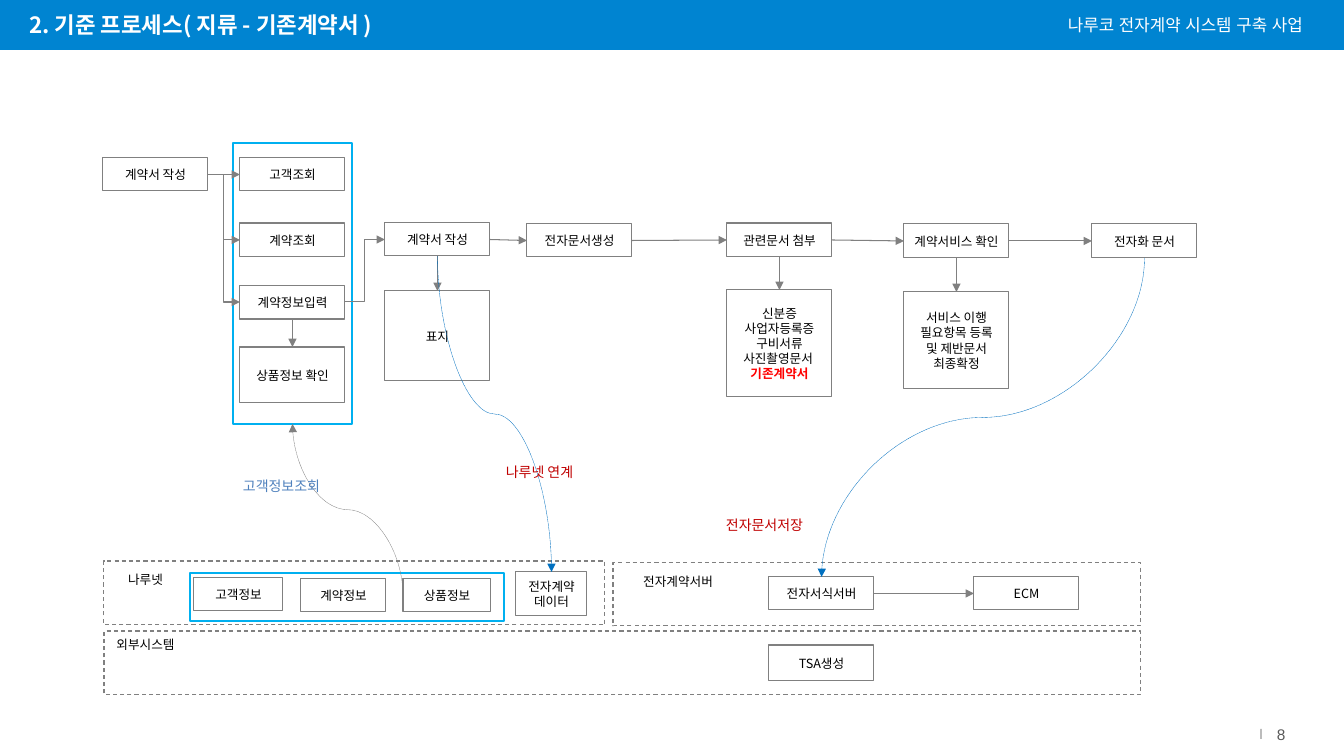
import pptx
import pptx.util
import pptx.dml.color
import pptx.enum.dml
import pptx.enum.shapes
import pptx.enum.text
import pptx.oxml.ns
from lxml import etree

EMU_PER_PX = 12192000 / 1344
KOREAN = "Noto Sans CJK KR"
GRAY, BLACK, WHITE = "808080", "000000", "FFFFFF"
CYAN, BLUE, RED = "00B0F0", "0070C0", "C00000"
ALIGN = pptx.enum.text.PP_ALIGN
ANCHOR = pptx.enum.text.MSO_ANCHOR
DASH = pptx.enum.dml.MSO_LINE
CONNECTOR = pptx.enum.shapes.MSO_CONNECTOR
TOP, LEFT, BOTTOM, RIGHT = range(4)

STEPS = {
    "draft": (103, 158, 105, 33, "계약서 작성"),
    "customer": (240, 158, 105, 33, "고객조회"),
    "contract": (240, 223, 105, 34, "계약조회"),
    "entry": (240, 285, 105, 34, "계약정보입력"),
    "product": (240, 347, 105, 56, "상품정보 확인"),
    "write": (385, 223, 105, 33, "계약서 작성"),
    "cover": (385, 291, 105, 90, "표지"),
    "generate": (527, 224, 105, 33, "전자문서생성"),
    "attach": (727, 223, 105, 34, "관련문서 첨부"),
    "papers": (727, 290, 105, 107, "신분증\n사업자등록증\n구비서류\n사진촬영문서 "),
    "confirm": (904, 224, 105, 34, "계약서비스 확인"),
    "service": (904, 292, 105, 97, "서비스 이행\n필요항목 등록 및 제반문서 최종확정"),
    "document": (1092, 224, 105, 34, "전자화 문서"),
    "customer_data": (194, 578, 89, 33, "고객정보"),
    "contract_data": (301, 579, 85, 33, "계약정보"),
    "product_data": (403, 579, 88, 33, "상품정보"),
    "contract_store": (516, 572, 71, 44, "전자계약\n데이터"),
    "form_server": (769, 577, 105, 33, "전자서식서버"),
    "ecm": (974, 577, 105, 33, "ECM"),
    "tsa": (769, 645, 105, 36, "TSA생성"),
}
NARROW_INSET = {"attach", "confirm", "document", "tsa"}

FRAMES = {
    "lookup": (233, 143, 119, 281, CYAN, 1.5, None),
    "internal": (104, 561, 501, 64, GRAY, 0.75, DASH.DASH),
    "external": (104, 631, 1037, 64, GRAY, 0.75, DASH.DASH),
    "data": (190, 573, 314, 48, CYAN, 1.5, None),
    "server": (613, 563, 528, 63, GRAY, 0.75, DASH.DASH),
}

LABELS = [
    (229, 473, 105, 27, "고객정보조회", 10, "4F81BD"),
    (712, 512, 105, 27, "전자문서저장", 10, RED),
    (487, 459, 105, 27, "나루넷 연계", 10, RED),
    (103, 567, 85, 25, "나루넷", 9, BLACK),
    (103, 632, 85, 25, "외부시스템", 9, BLACK),
    (621, 569, 114, 25, "전자계약서버", 9, BLACK),
]

ARROWS = [
    ("draft", RIGHT, "customer", LEFT),
    ("entry", BOTTOM, "product", TOP),
    ("write", BOTTOM, "cover", TOP),
    ("write", RIGHT, "generate", LEFT),
    ("generate", RIGHT, "attach", LEFT),
    ("attach", BOTTOM, "papers", TOP),
    ("attach", RIGHT, "confirm", LEFT),
    ("confirm", BOTTOM, "service", TOP),
    ("confirm", RIGHT, "document", LEFT),
    ("form_server", RIGHT, "ecm", LEFT),
]

ELBOWS = [
    ("draft", RIGHT, "contract", LEFT),
    ("draft", RIGHT, "entry", LEFT),
    ("entry", RIGHT, "write", LEFT),
]

CURVES = [
    ("document", BOTTOM, "form_server", TOP, 90, BLUE),
    ("product_data", LEFT, "lookup", BOTTOM, 270, GRAY),
    ("write", BOTTOM, "contract_store", TOP, 270, BLUE),
]


def px(length):
    """Turn pixels into EMU."""
    return pptx.util.Emu(round(length * EMU_PER_PX))


def rgb(value):
    """Turn a hex string into a colour."""
    return pptx.dml.color.RGBColor.from_string(value)


def write(shape, text, size=9, color=BLACK, bold=False, font=KOREAN, align=ALIGN.CENTER):
    """Append each line of text to the shape as a formatted paragraph."""
    frame = shape.text_frame
    for line in text.split("\n"):
        paragraph = frame.add_paragraph() if frame.text else frame.paragraphs[0]
        paragraph.alignment = align
        run = paragraph.add_run()
        run.text = line
        run.font.size = pptx.util.Pt(size)
        run.font.bold = bold
        run.font.color.rgb = rgb(color)
        run.font.name = font
        east_asian = etree.SubElement(run.font._element, pptx.oxml.ns.qn("a:ea"))
        east_asian.set("typeface", font)


def set_line(line, color, width, dash=None):
    """Format a line."""
    line.color.rgb = rgb(color)
    line.width = pptx.util.Pt(width)
    if dash:
        line.dash_style = dash


def add_box(slide, left, top, width, height, fill=None):
    """Add a rectangle without shadow or outline."""
    shape = slide.shapes.add_shape(
        pptx.enum.shapes.MSO_SHAPE.RECTANGLE, px(left), px(top), px(width), px(height))
    shape.shadow.inherit = False
    shape.line.fill.background()
    if fill:
        shape.fill.solid()
        shape.fill.fore_color.rgb = rgb(fill)
    else:
        shape.fill.background()
    return shape


def add_step(slide, left, top, width, height, text, inset):
    """Add a process box with centred text."""
    shape = add_box(slide, left, top, width, height, WHITE)
    set_line(shape.line, GRAY, 0.75)
    frame = shape.text_frame
    frame.word_wrap = True
    frame.vertical_anchor = ANCHOR.MIDDLE
    frame.margin_left = frame.margin_right = px(inset)
    write(shape, text)
    return shape


def add_frame(slide, left, top, width, height, color, weight, dash):
    """Add an unfilled grouping frame."""
    shape = add_box(slide, left, top, width, height)
    set_line(shape.line, color, weight, dash)
    return shape


def add_label(slide, left, top, width, height, text, wrap=True, **text_format):
    """Add a text box."""
    label = slide.shapes.add_textbox(px(left), px(top), px(width), px(height))
    label.text_frame.word_wrap = wrap
    write(label, text, **text_format)
    return label


def add_line(slide, kind, begin, end, color=GRAY, width=0.75, dash=None, arrow=True):
    """Add a connector between two EMU points."""
    connector = slide.shapes.add_connector(kind, *begin, *end)
    set_line(connector.line, color, width, dash)
    properties = connector._element.spPr
    if arrow:
        line = properties.find(pptx.oxml.ns.qn("a:ln"))
        etree.SubElement(line, pptx.oxml.ns.qn("a:tailEnd")).set("type", "triangle")
    etree.SubElement(properties, pptx.oxml.ns.qn("a:effectLst"))
    return connector


def side_point(shape, side):
    """Return the middle of a side of a shape."""
    across = {TOP: 1, LEFT: 0, BOTTOM: 1, RIGHT: 2}[side]
    down = {TOP: 0, LEFT: 1, BOTTOM: 2, RIGHT: 1}[side]
    return shape.left + shape.width * across // 2, shape.top + shape.height * down // 2


def join(slide, kind, start, start_side, finish, finish_side):
    """Join two shapes with an arrow."""
    connector = add_line(
        slide, kind, side_point(start, start_side), side_point(finish, finish_side))
    connector.begin_connect(start, start_side)
    connector.end_connect(finish, finish_side)


def add_curve(slide, begin, end, turn, color):
    """Add a curved arrow that leaves and arrives vertically."""
    center_x, center_y = (begin[0] + end[0]) // 2, (begin[1] + end[1]) // 2
    sign = 1 if turn == 90 else -1
    points = [(center_x + sign * (y - center_y), center_y - sign * (x - center_x))
              for x, y in (begin, end)]
    connector = add_line(slide, CONNECTOR.CURVE, *points, color, 0.25, DASH.SQUARE_DOT)
    connector._element.spPr.xfrm.set("rot", str(turn * 60000))


def add_header(slide):
    """Add the title bar, the title, the project name and the page number."""
    add_box(slide, 0, 0, 1344, 50, "0084D1")
    title = slide.shapes.title
    title.left, title.top, title.width, title.height = px(19), px(6), px(438), px(37)
    title.text_frame.auto_size = pptx.enum.text.MSO_AUTO_SIZE.NONE
    title.text_frame.vertical_anchor = ANCHOR.TOP
    write(title, "2. 기준 프로세스( 지류 - 기존계약서 )",
          size=16, color=WHITE, bold=True, align=ALIGN.LEFT)
    title.element.getparent().append(title.element)
    project = add_label(slide, 1068, 10, 261, 30, "나루코 전자계약 시스템 구축 사업",
                        wrap=False, size=12, color=WHITE, font="Arial", align=ALIGN.LEFT)
    project.text_frame.margin_left = project.text_frame.margin_right = 0
    divider = add_line(slide, CONNECTOR.STRAIGHT, (px(1261), px(729)), (px(1261), px(739)),
                       width=1, arrow=False)
    color = next(divider._element.iter(pptx.oxml.ns.qn("a:srgbClr")))
    etree.SubElement(color, pptx.oxml.ns.qn("a:alpha")).set("val", "80000")
    add_label(slide, 1267, 720, 52, 29, "8",
              size=11, color="595959", font="Arial", align=ALIGN.LEFT)


def main():
    """Build the process slide and save it."""
    presentation = pptx.Presentation()
    presentation.slide_width, presentation.slide_height = px(1344), px(756)
    slide = presentation.slides.add_slide(presentation.slide_layouts[5])
    add_header(slide)
    shapes = {name: add_frame(slide, *frame) for name, frame in FRAMES.items()}
    for name, step in STEPS.items():
        shapes[name] = add_step(slide, *step, inset=0 if name in NARROW_INSET else 10)
    write(shapes["papers"], "기존계약서", color="FF0000", bold=True)
    for kind, links in ((CONNECTOR.STRAIGHT, ARROWS), (CONNECTOR.ELBOW, ELBOWS)):
        for start, start_side, finish, finish_side in links:
            join(slide, kind, shapes[start], start_side, shapes[finish], finish_side)
    for start, start_side, finish, finish_side, turn, color in CURVES:
        add_curve(slide, side_point(shapes[start], start_side),
                  side_point(shapes[finish], finish_side), turn, color)
    for *place, text, size, color in LABELS:
        add_label(slide, *place, text, size=size, color=color)
    presentation.save("out.pptx")


if __name__ == "__main__":
    main()
